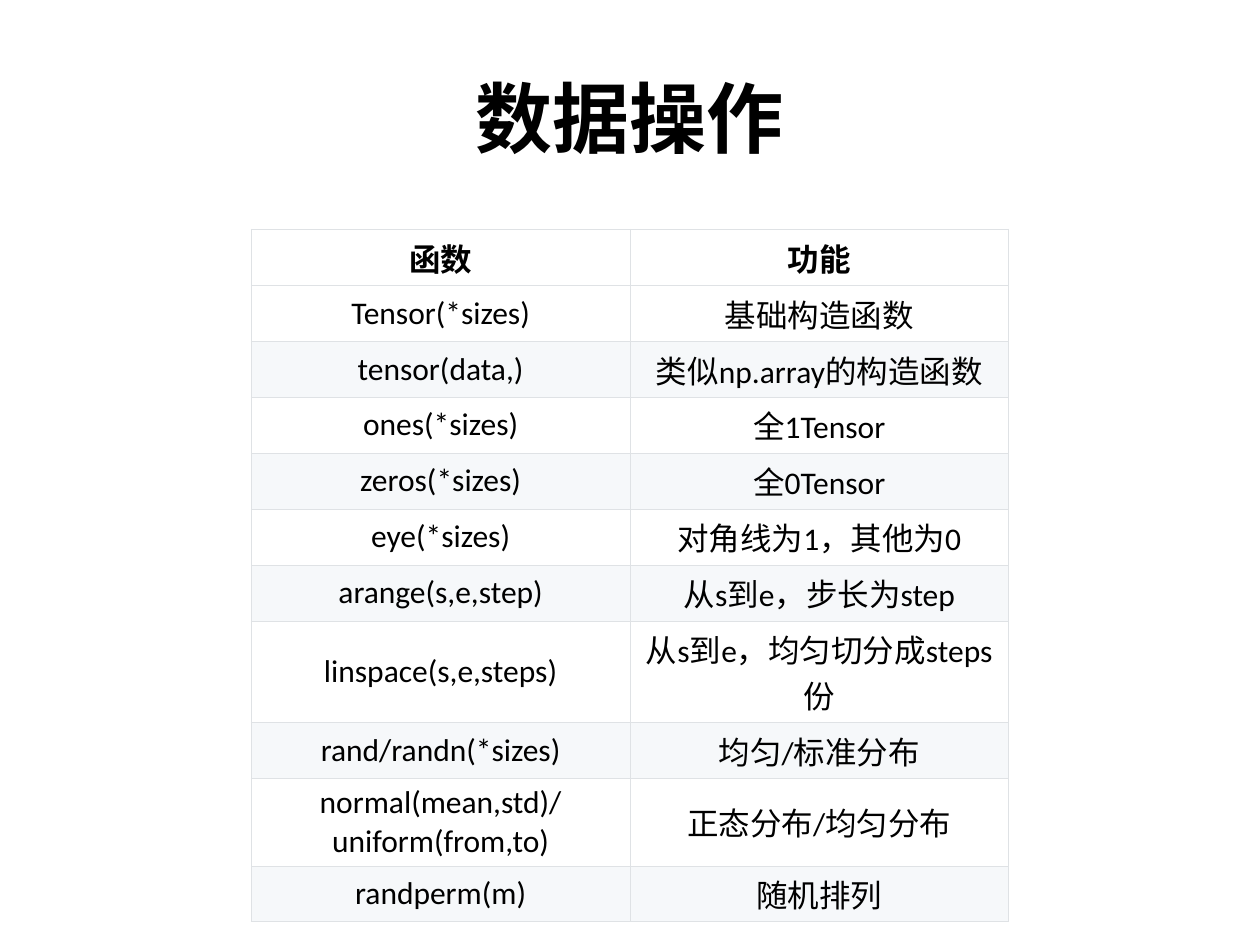
from lxml import etree
from pptx import Presentation
from pptx.dml.color import RGBColor
from pptx.enum.text import MSO_ANCHOR, PP_ALIGN
from pptx.oxml.ns import qn
from pptx.util import Inches, Pt

MIDDLE, CENTER = MSO_ANCHOR.MIDDLE, PP_ALIGN.CENTER
COLORS = {"text": "000000", "plain": "FFFFFF", "band": "F6F8FA", "border": "DFE2E5"}
FUNCTIONS = [
    ("函数", "功能"),
    ("Tensor(*sizes)", "基础构造函数"),
    ("tensor(data,)", "类似np.array的构造函数"),
    ("ones(*sizes)", "全1Tensor"),
    ("zeros(*sizes)", "全0Tensor"),
    ("eye(*sizes)", "对角线为1，其他为0"),
    ("arange(s,e,step)", "从s到e，步长为step"),
    ("linspace(s,e,steps)", "从s到e，均匀切分成steps份"),
    ("rand/randn(*sizes)", "均匀/标准分布"),
    ("normal(mean,std)/uniform(from,to)", "正态分布/均匀分布"),
    ("randperm(m)", "随机排列"),
]
# Row heights in points: one line of text, and the two rows that wrap
ROW_H = 32
WRAPPED_H = {7: 58, 9: 50}


def write(tf, text, size, bold):
    tf.word_wrap = True
    p = tf.paragraphs[0]
    p.text = text
    p.alignment = CENTER
    p.font.name, p.font.size, p.font.bold = "Calibri", Pt(size), bold
    p.font.color.rgb = RGBColor.from_string(COLORS["text"])


def add_borders(cell):
    tcPr = cell._tc.get_or_add_tcPr()
    for side in ("lnL", "lnR", "lnT", "lnB"):
        ln = etree.SubElement(tcPr, qn(f"a:{side}"), w=str(Pt(0.5)))
        fill = etree.SubElement(ln, qn("a:solidFill"))
        etree.SubElement(fill, qn("a:srgbClr"), val=COLORS["border"])


prs = Presentation()
prs.slide_width, prs.slide_height = Inches(10), Inches(7.5)
W, H = prs.slide_width, prs.slide_height
s = prs.slides.add_slide(prs.slide_layouts[6])

# Title
title = s.shapes.add_textbox(int(W * 0.05), int(H * 0.04), int(W * 0.9), Inches(1.25))
title.text_frame.vertical_anchor = MIDDLE
write(title.text_frame, "数据操作", 44, True)

# Function table, centred
heights = [Pt(WRAPPED_H.get(i, ROW_H)) for i in range(len(FUNCTIONS))]
table_w = Inches(6.01)
table = s.shapes.add_table(len(FUNCTIONS), 2, (W - table_w) // 2, Inches(1.82),
                           table_w, sum(heights)).table
for i, row in enumerate(FUNCTIONS):
    table.rows[i].height = heights[i]
    band = "band" if i > 0 and i % 2 == 0 else "plain"
    for j, text in enumerate(row):
        cell = table.cell(i, j)
        add_borders(cell)
        cell.fill.solid()
        cell.fill.fore_color.rgb = RGBColor.from_string(COLORS[band])
        cell.vertical_anchor = MIDDLE
        cell.margin_left = cell.margin_right = Inches(0.09)
        cell.margin_top = cell.margin_bottom = Inches(0.04)
        write(cell.text_frame, text, 18, i == 0)

prs.save("out.pptx")
